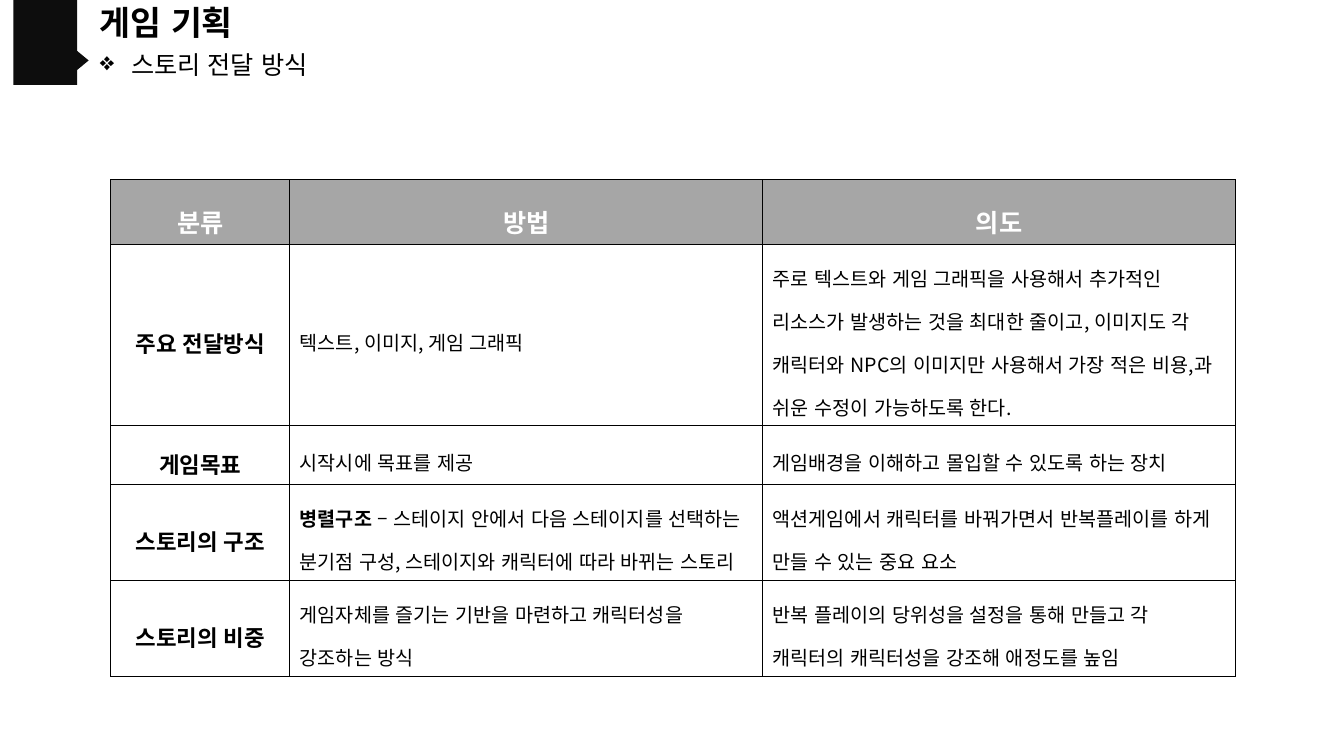
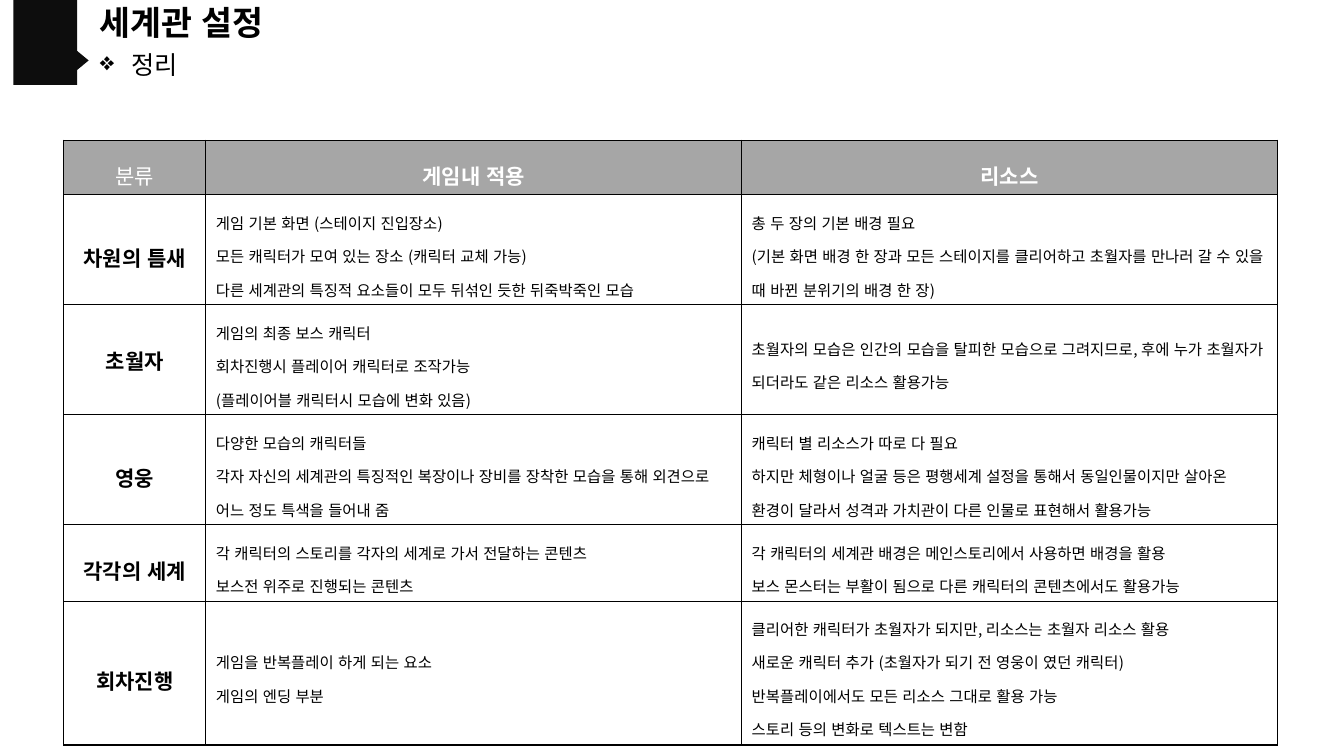
"""Build two game design slides, each holding one planning table."""
import dataclasses

import lxml.etree
import pptx
import pptx.dml.color
import pptx.enum.lang
import pptx.enum.shapes
import pptx.enum.text
import pptx.oxml.ns
import pptx.util

FONT = "Noto Sans CJK KR"
COLORS = {"band": "0D0D0D", "text": "000000", "header": "A6A6A6", "header_text": "FFFFFF", "border": "000000"}
GRID_COLUMNS, GRID_ROWS = 160, 90
SLIDE_WIDTH, SLIDE_HEIGHT = pptx.util.Inches(13.33), pptx.util.Inches(7.5)
CENTER = pptx.enum.text.PP_ALIGN.CENTER
LEFT = pptx.enum.text.PP_ALIGN.LEFT
MIDDLE = pptx.enum.text.MSO_ANCHOR.MIDDLE


@dataclasses.dataclass(frozen=True)
class Area:
    """A rectangle in grid columns and rows."""
    left: float
    top: float
    width: float
    height: float


@dataclasses.dataclass(frozen=True)
class Row:
    """One body row of a table, with its height in grid rows."""
    height: float
    label: str
    middle: str
    last: str
    lead: str = ""
    label_spacing: float = 1.5


@dataclasses.dataclass(frozen=True)
class Topic:
    """The wording and table measures of one slide."""
    title: str
    subtitle: str
    left: float
    top: float
    label_width: float
    text_width: float
    header_height: float
    header_size: int
    label_size: int
    text_size: int
    headers: tuple[str, str, str]
    rows: tuple[Row, ...]
    first_header_bold: bool = True


TOPICS = (
    Topic(
        "게임 기획", "스토리 전달 방식", 13.2, 21.4, 21.3, 56.3, 7.7, 18, 16, 14,
        ("분류", "방법", "의도"),
        (
            Row(21.6, "주요 전달방식", "텍스트, 이미지, 게임 그래픽",
                "주로 텍스트와 게임 그래픽을 사용해서 추가적인 리소스가 발생하는 것을 최대한 줄이고, "
                "이미지도 각 캐릭터와 NPC의 이미지만 사용해서 가장 적은 비용,과 쉬운 수정이 가능하도록 한다."),
            Row(7, "게임목표", "시작시에 목표를 제공", "게임배경을 이해하고 몰입할 수 있도록 하는 장치"),
            Row(11.4, "스토리의 구조",
                "– 스테이지 안에서 다음 스테이지를 선택하는 분기점 구성, 스테이지와 캐릭터에 따라 바뀌는 스토리",
                "액션게임에서 캐릭터를 바꿔가면서 반복플레이를 하게 만들 수 있는 중요 요소", lead="병렬구조 "),
            Row(11.4, "스토리의 비중", "게임자체를 즐기는 기반을 마련하고 캐릭터성을 강조하는 방식",
                "반복 플레이의 당위성을 설정을 통해 만들고 각 캐릭터의 캐릭터성을 강조해 애정도를 높임"),
        ),
    ),
    Topic(
        "세계관 설정", "정리", 7.6, 16.7, 16.9, 63.8, 6.5, 15, 15, 11,
        ("분류", "게임내 적용", "리소스"),
        (
            Row(13.1, "차원의 틈새",
                "게임 기본 화면 (스테이지 진입장소)\n모든 캐릭터가 모여 있는 장소 (캐릭터 교체 가능)\n"
                "다른 세계관의 특징적 요소들이 모두 뒤섞인 듯한 뒤죽박죽인 모습",
                "총 두 장의 기본 배경 필요\n(기본 화면 배경 한 장과 모든 스테이지를 클리어하고 "
                "초월자를 만나러 갈 수 있을 때 바뀐 분위기의 배경 한 장)"),
            Row(13.1, "초월자",
                "게임의 최종 보스 캐릭터\n회차진행시 플레이어 캐릭터로 조작가능\n(플레이어블 캐릭터시 모습에 변화 있음)",
                "초월자의 모습은 인간의 모습을 탈피한 모습으로 그려지므로, 후에 누가 "
                "초월자가 되더라도 같은 리소스 활용가능", label_spacing=1.0),
            Row(13.1, "영웅",
                "다양한 모습의 캐릭터들\n각자 자신의 세계관의 특징적인 복장이나 장비를 장착한 모습을 통해 "
                "외견으로 어느 정도 특색을 들어내 줌",
                "캐릭터 별 리소스가 따로 다 필요\n하지만 체형이나 얼굴 등은 평행세계 설정을 통해서 "
                "동일인물이지만 살아온 환경이 달라서 성격과 가치관이 다른 인물로 표현해서 활용가능"),
            Row(9.1, "각각의 세계",
                "각 캐릭터의 스토리를 각자의 세계로 가서 전달하는 콘텐츠\n보스전 위주로 진행되는 콘텐츠",
                "각 캐릭터의 세계관 배경은 메인스토리에서 사용하면 배경을 활용\n"
                "보스 몬스터는 부활이 됨으로 다른 캐릭터의 콘텐츠에서도 활용가능"),
            Row(17.1, "회차진행", "게임을 반복플레이 하게 되는 요소\n게임의 엔딩 부분",
                "클리어한 캐릭터가 초월자가 되지만, 리소스는 초월자 리소스 활용\n"
                "새로운 캐릭터 추가 (초월자가 되기 전 영웅이 였던 캐릭터)\n"
                "반복플레이에서도 모든 리소스 그대로 활용 가능\n스토리 등의 변화로 텍스트는 변함"),
        ),
        first_header_bold=False,
    ),
)


def across(columns: float) -> int:
    """Turn grid columns into a length."""
    return round(SLIDE_WIDTH * columns / GRID_COLUMNS)


def down(rows: float) -> int:
    """Turn grid rows into a length."""
    return round(SLIDE_HEIGHT * rows / GRID_ROWS)


def place(area: Area) -> tuple[int, int, int, int]:
    """Turn a grid area into left, top, width and height."""
    return across(area.left), down(area.top), across(area.width), down(area.height)


def color(name: str) -> pptx.dml.color.RGBColor:
    """Look up a named colour."""
    return pptx.dml.color.RGBColor.from_string(COLORS[name])


def add_bullet(para) -> None:
    """Give a paragraph a diamond bullet with a hanging indent."""
    properties = para._p.get_or_add_pPr()
    indent = pptx.util.Inches(0.31)
    properties.set("marL", str(indent))
    properties.set("indent", str(-indent))
    lxml.etree.SubElement(properties, pptx.oxml.ns.qn("a:buChar"), char="❖")


def write_text(frame, text: str, *, size: int, ink: str = "text", bold: bool = False, lead: str = "",
               align=LEFT, spacing: float = 1.0, bullet: bool = False) -> None:
    """Fill a text frame, one paragraph a line, after an optional bold lead."""
    for index, line in enumerate(text.split("\n")):
        para = frame.add_paragraph() if index else frame.paragraphs[0]
        if bullet:
            add_bullet(para)
        para.alignment = align
        para.line_spacing = spacing
        parts = [(line, bold)]
        if lead and index == 0:
            parts.insert(0, (lead, True))
        for words, strong in parts:
            span = para.add_run()
            span.text = words
            font = span.font
            font.name, font.size, font.bold = FONT, pptx.util.Pt(size), strong
            font.color.rgb = color(ink)
            font.language_id = pptx.enum.lang.MSO_LANGUAGE_ID.KOREAN
            lxml.etree.SubElement(span._r.get_or_add_rPr(), pptx.oxml.ns.qn("a:ea"), typeface=FONT)


def add_block(page, kind, area: Area, rotation: float = 0) -> None:
    """Draw one dark piece of the corner band."""
    block = page.shapes.add_shape(kind, *place(area))
    block.shadow.inherit = False
    block.rotation = rotation
    block.fill.solid()
    block.fill.fore_color.rgb = color("band")
    block.line.fill.background()


def add_heading(page, text: str, area: Area, **style) -> None:
    """Add one line of the slide heading."""
    box = page.shapes.add_textbox(*place(area))
    box.text_frame.word_wrap = True
    box.text_frame.vertical_anchor = MIDDLE
    write_text(box.text_frame, text, **style)


def add_frame(page, topic: Topic) -> None:
    """Draw the corner band and the heading of a slide."""
    kinds = pptx.enum.shapes.MSO_SHAPE
    add_block(page, kinds.RECTANGLE, Area(1.6, 0, 7.6, 10.1))
    add_block(page, kinds.ISOSCELES_TRIANGLE, Area(7.1, 5.9, 4.3, 2.6), rotation=90)
    add_heading(page, topic.title, Area(10.7, 0, 88.3, 5.3), size=24, bold=True)
    add_heading(page, topic.subtitle, Area(10.7, 5.5, 88.3, 4.3), size=18, bullet=True)


def format_cell(cell, fill: str = "") -> None:
    """Center a cell vertically, fill it and draw its four borders."""
    cell.vertical_anchor = MIDDLE
    if fill:
        cell.fill.solid()
        cell.fill.fore_color.rgb = color(fill)
    else:
        cell.fill.background()
    properties = cell._tc.get_or_add_tcPr()
    qn = pptx.oxml.ns.qn
    for index, side in enumerate(("lnL", "lnR", "lnT", "lnB")):
        border = lxml.etree.Element(qn(f"a:{side}"), w=str(pptx.util.Pt(1)))
        solid = lxml.etree.SubElement(border, qn("a:solidFill"))
        lxml.etree.SubElement(solid, qn("a:srgbClr"), val=COLORS["border"])
        properties.insert(index, border)


def add_topic_table(page, topic: Topic) -> None:
    """Draw the table of a slide."""
    widths = (topic.label_width, topic.text_width, topic.text_width)
    heights = (topic.header_height, *(row.height for row in topic.rows))
    area = Area(topic.left, topic.top, sum(widths), sum(heights))
    table = page.shapes.add_table(len(heights), len(widths), *place(area)).table
    table.first_row = table.horz_banding = False
    for column, width in zip(table.columns, widths):
        column.width = across(width)
    for table_row, height in zip(table.rows, heights):
        table_row.height = down(height)
    for index, header in enumerate(topic.headers):
        cell = table.cell(0, index)
        format_cell(cell, "header")
        write_text(cell.text_frame, header, size=topic.header_size, ink="header_text",
                   bold=index > 0 or topic.first_header_bold, align=CENTER, spacing=1.5)
    for number, row in enumerate(topic.rows, start=1):
        label, middle, last = (table.cell(number, index) for index in range(3))
        for cell in (label, middle, last):
            format_cell(cell)
        write_text(label.text_frame, row.label, size=topic.label_size, bold=True,
                   align=CENTER, spacing=row.label_spacing)
        write_text(middle.text_frame, row.middle, size=topic.text_size, lead=row.lead, spacing=1.5)
        write_text(last.text_frame, row.last, size=topic.text_size, spacing=1.5)


def main() -> None:
    """Build and save the deck."""
    deck = pptx.Presentation()
    deck.slide_width, deck.slide_height = SLIDE_WIDTH, SLIDE_HEIGHT
    for topic in TOPICS:
        page = deck.slides.add_slide(deck.slide_layouts[6])
        add_frame(page, topic)
        add_topic_table(page, topic)
    deck.save("out.pptx")


if __name__ == "__main__":
    main()
